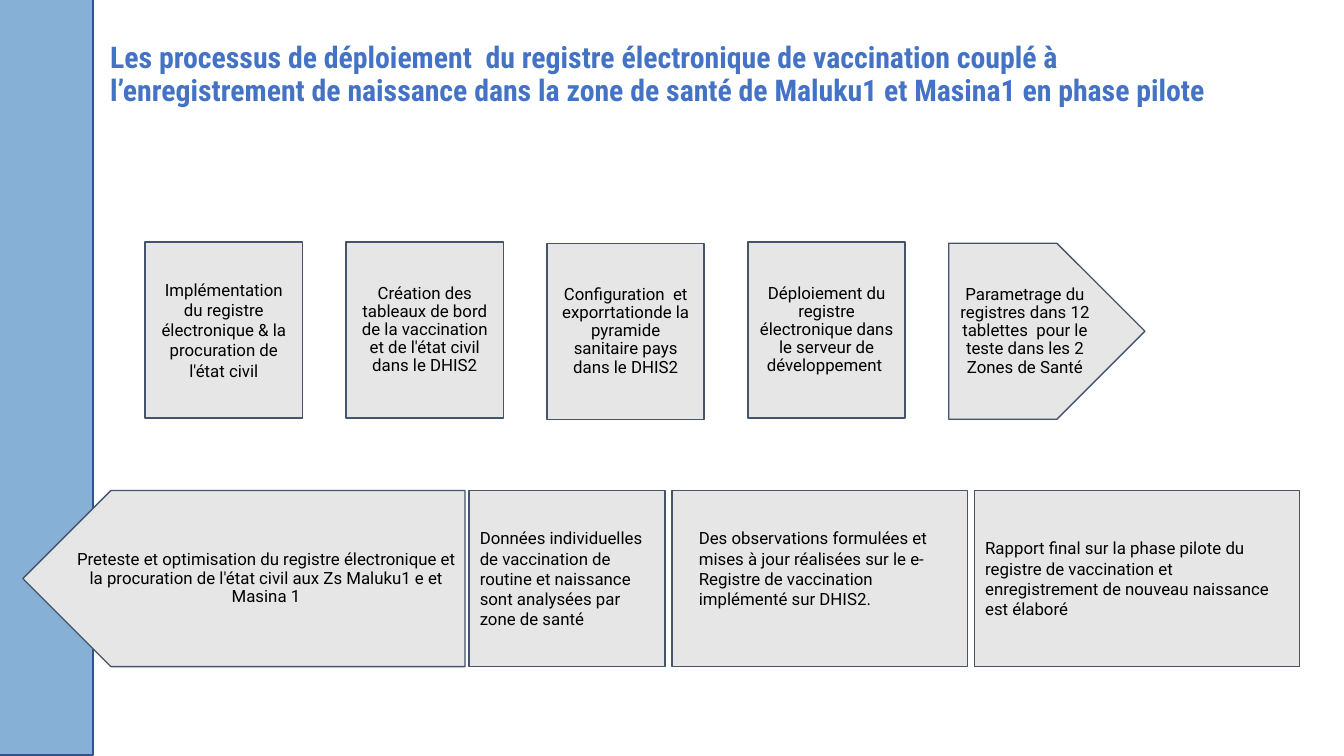
from pptx import Presentation
from pptx.dml.color import RGBColor
from pptx.enum.shapes import MSO_SHAPE
from pptx.enum.text import MSO_ANCHOR, MSO_AUTO_SIZE, PP_ALIGN
from pptx.util import Inches, Pt

RECTANGLE = MSO_SHAPE.RECTANGLE
PENTAGON = MSO_SHAPE.PENTAGON
MIDDLE = MSO_ANCHOR.MIDDLE
NO_AUTOFIT = MSO_AUTO_SIZE.NONE
LEFT, CENTER = PP_ALIGN.LEFT, PP_ALIGN.CENTER

TITLE_BLUE = RGBColor(0x44, 0x72, 0xC4)
BAND_BLUE = RGBColor(0x86, 0xB0, 0xD6)
BAND_EDGE = RGBColor(0x31, 0x53, 0x8F)
STEP_GRAY = RGBColor(0xE7, 0xE6, 0xE6)
STEP_EDGE = RGBColor(0x44, 0x54, 0x6A)
BLACK = RGBColor(0, 0, 0)
WHITE = RGBColor(0xFF, 0xFF, 0xFF)

STEP_HEIGHT = 1.31
TOP_ROW, BOTTOM_ROW = 1.8, 3.65
FIRST_LEFT, STEP_PITCH, STEP_WIDTH = 1.08, 1.495, 1.17
SIDE_INSETS = {RECTANGLE: 0.08, PENTAGON: 0.07}
INSET = 0.07


def add_block(page, kind, left, top, width, height, fill, edge, weight):
    block = page.shapes.add_shape(
        kind, Inches(left), Inches(top), Inches(width), Inches(height))
    block.shadow.inherit = False
    block.fill.solid()
    block.fill.fore_color.rgb = fill
    block.line.color.rgb = edge
    block.line.width = Pt(weight)
    return block


def add_step(page, kind, left, top, width, text, align, spacing):
    step = add_block(page, kind, left, top, width, STEP_HEIGHT,
                     STEP_GRAY, STEP_EDGE, 0.75)
    frame = step.text_frame
    frame.word_wrap = True
    frame.vertical_anchor = MIDDLE
    frame.margin_left = frame.margin_right = Inches(SIDE_INSETS[kind])
    frame.margin_top = frame.margin_bottom = Inches(INSET)
    frame.text = text
    para = frame.paragraphs[0]
    para.alignment = align
    para.line_spacing = spacing
    para.font.name = "Roboto"
    para.font.size = Pt(9)
    para.font.color.rgb = BLACK
    return step


deck = Presentation()
deck.slide_width = Inches(10)
deck.slide_height = deck.slide_width * 9 // 16
page = deck.slides.add_slide(deck.slide_layouts[5])
page.background.fill.solid()
page.background.fill.fore_color.rgb = WHITE

add_block(page, RECTANGLE, -0.03, -0.02, 0.72, 5.64, BAND_BLUE, BAND_EDGE, 1)

title = page.shapes.title
title.left, title.top = Inches(0.75), Inches(0.3)
title.width, title.height = Inches(8.62), Inches(0.52)
frame = title.text_frame
frame.word_wrap = True
frame.auto_size = NO_AUTOFIT
frame.vertical_anchor = MIDDLE
frame.margin_left = frame.margin_right = Inches(0.07)
frame.margin_top = frame.margin_bottom = Inches(0.04)
frame.text = (
    "Les processus de déploiement  du registre électronique de vaccination couplé à "
    "l’enregistrement de naissance dans la zone de santé de Maluku1 et Masina1 en phase pilote")
para = frame.paragraphs[0]
para.alignment = LEFT
para.line_spacing = 0.9
para.space_before = Pt(0)
para.font.name = "Roboto Condensed"
para.font.size = Pt(16)
para.font.bold = True
para.font.color.rgb = TITLE_BLUE

setup_steps = [
    (RECTANGLE, STEP_WIDTH, 1.0, 0,
     "Implémentation du registre électronique & la procuration de l'état civil"),
    (RECTANGLE, STEP_WIDTH, 0.9, 0,
     "Création des tableaux de bord de la vaccination et de l'état civil dans le DHIS2"),
    (RECTANGLE, STEP_WIDTH, 0.9, 0.01,
     "Configuration  et exporrtationde la pyramide sanitaire pays dans le DHIS2"),
    (RECTANGLE, STEP_WIDTH, 0.9, 0,
     "Déploiement du registre électronique dans le serveur de développement "),
    (PENTAGON, 1.46, 0.9, 0.01,
     "Parametrage du registres dans 12 tablettes  pour le teste dans les 2 Zones de Santé"),
]
for index, (kind, width, spacing, drop, text) in enumerate(setup_steps):
    add_step(page, kind, FIRST_LEFT + index * STEP_PITCH, TOP_ROW + drop,
             width, text, CENTER, spacing)

pretest = add_step(
    page, PENTAGON, 0.17, BOTTOM_ROW, 3.29,
    "Preteste et optimisation du registre électronique et la procuration de l'état civil "
    "aux Zs Maluku1 e et Masina 1", CENTER, 0.9)
pretest._element.spPr.xfrm.set("flipH", "1")

add_step(
    page, RECTANGLE, 3.49, BOTTOM_ROW, 1.46,
    "Données individuelles de vaccination de routine et naissance sont analysées par "
    "zone de santé", LEFT, 1.0)

observations = add_step(
    page, RECTANGLE, 5, BOTTOM_ROW, 2.2,
    "Des observations formulées et mises à jour réalisées sur le e-Registre de vaccination "
    "implémenté sur DHIS2.", LEFT, 1.0)
observations.text_frame.margin_left = Inches(0.2)
observations.text_frame.margin_bottom = Inches(INSET + 0.15)

add_step(
    page, RECTANGLE, 7.25, BOTTOM_ROW, 2.42,
    "Rapport final sur la phase pilote du registre de vaccination et enregistrement de "
    "nouveau naissance est élaboré", LEFT, 1.0)

deck.save("out.pptx")
